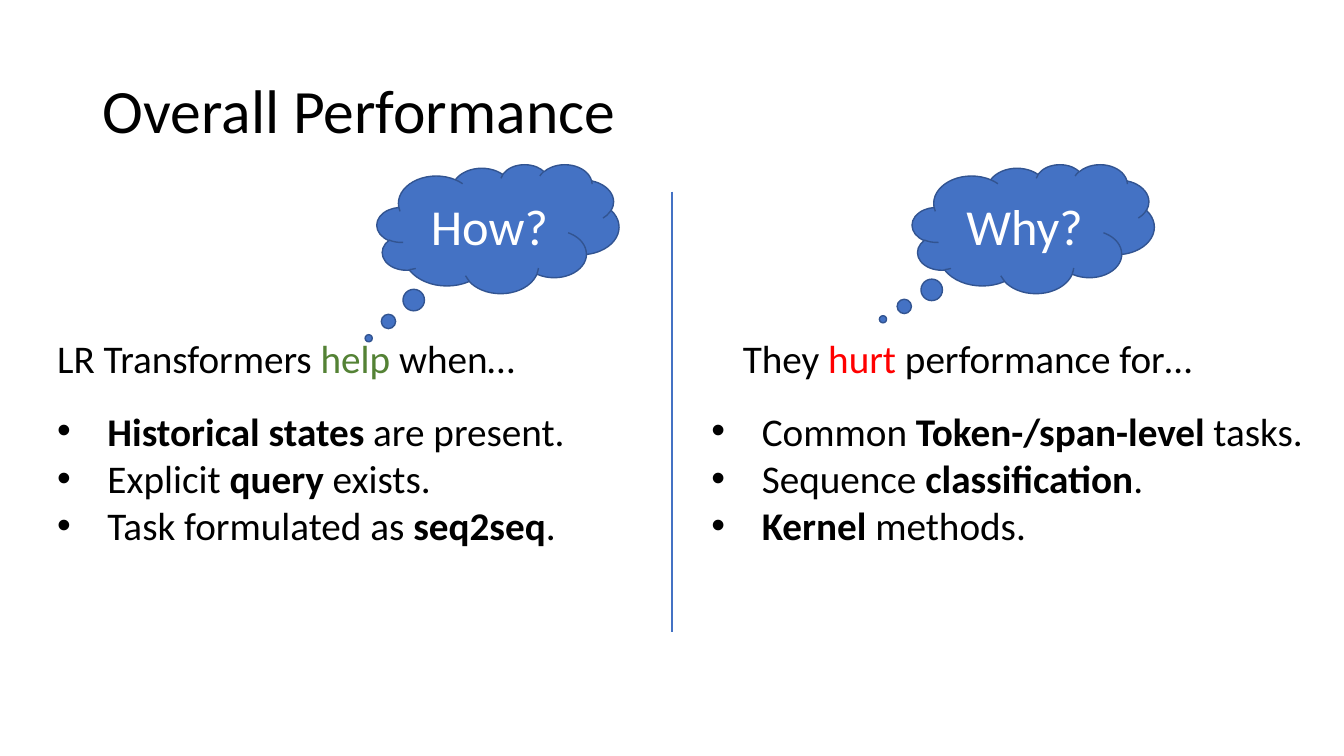
from dataclasses import dataclass

from lxml import etree
from pptx import Presentation
from pptx import util as u
from pptx.dml.color import RGBColor
from pptx.enum import shapes, text
from pptx.oxml.ns import qn


@dataclass(frozen=True)
class Theme:
    font: str = "Calibri"
    black: str = "000000"
    white: str = "FFFFFF"
    blue: str = "4472C4"
    edge: str = "325491"
    green: str = "548235"
    red: str = "FF0000"
    title: int = 44
    cloud: int = 36
    body: int = 28


THEME = Theme()


@dataclass(frozen=True)
class Part:
    words: str
    color: str = THEME.black
    bold: bool = False


@dataclass(frozen=True)
class Box:
    left: float
    top: float
    width: float
    height: float

    def place(self) -> tuple:
        return tuple(u.Cm(n) for n in (self.left, self.top, self.width, self.height))


@dataclass(frozen=True)
class Side:
    cloud: str
    spot: Box
    tail: tuple[float, float]
    head: Box
    lead: list[Part]
    body: Box
    items: list[list[Part]]


def bold(words: str) -> Part:
    return Part(words, bold=True)


SIDES = [
    Side("How?", Box(9.5, 4.14, 6.1, 3.25), (-0.534, 0.849),
         Box(1.19, 8.31, 13.06, 1.45),
         [Part("LR Transformers "), Part("help", THEME.green), Part(" when…")],
         Box(1.19, 10.13, 13.46, 3.84),
         [[bold("Historical states "), Part("are present.")],
          [Part("Explicit "), bold("query"), Part(" exists.")],
          [Part("Task formulated as "), bold("seq2seq"), Part(".")]]),
    Side("Why?", Box(22.99, 4.14, 6.1, 3.25), (-0.621, 0.702),
         Box(18.47, 8.31, 13.06, 1.45),
         [Part("They "), Part("hurt", THEME.red), Part(" performance for…")],
         Box(17.68, 10.13, 16, 3.84),
         [[Part("Common"), bold(" Token-/span-level "), Part("tasks.")],
          [Part("Sequence "), bold("classification"), Part(".")],
          [bold("Kernel"), Part(" methods.")]]),
]


def rgb(code: str) -> RGBColor:
    return RGBColor.from_string(code)


def style(run, size: int, color: str, heavy: bool = False) -> None:
    run.font.name = THEME.font
    run.font.size = u.Pt(size)
    run.font.bold = heavy
    run.font.color.rgb = rgb(color)


def bullet(para) -> None:
    props = para._p.get_or_add_pPr()
    props.set("marL", str(u.Cm(1.27)))
    props.set("indent", str(u.Cm(-1.27)))
    etree.SubElement(props, qn("a:buFont")).set("typeface", "Arial")
    etree.SubElement(props, qn("a:buChar")).set("char", "•")


def write(slide, box: Box, lines: list[list[Part]], size: int, dots: bool = False):
    frame = slide.shapes.add_textbox(*box.place()).text_frame
    frame.word_wrap = True
    for i, parts in enumerate(lines):
        para = frame.add_paragraph() if i else frame.paragraphs[0]
        if dots:
            bullet(para)
        for part in parts:
            run = para.add_run()
            run.text = part.words
            style(run, size, part.color, part.bold)
    return frame


def think(slide, side: Side) -> None:
    cloud = slide.shapes.add_shape(shapes.MSO_SHAPE.CLOUD_CALLOUT, *side.spot.place())
    cloud.adjustments[0], cloud.adjustments[1] = side.tail
    cloud.shadow.inherit = False
    cloud.fill.solid()
    cloud.fill.fore_color.rgb = rgb(THEME.blue)
    cloud.line.color.rgb = rgb(THEME.edge)
    cloud.line.width = u.Pt(1)
    frame = cloud.text_frame
    frame.text = side.cloud
    frame.vertical_anchor = text.MSO_ANCHOR.MIDDLE
    para = frame.paragraphs[0]
    para.alignment = text.PP_ALIGN.CENTER
    style(para.runs[0], THEME.cloud, THEME.white)


def divide(slide) -> None:
    mid = u.Cm(16.94)
    line = slide.shapes.add_connector(
        shapes.MSO_CONNECTOR.STRAIGHT, mid, u.Cm(4.83), mid, u.Cm(15.93))
    line.line.color.rgb = rgb(THEME.blue)
    line.line.width = u.Pt(1.5)
    etree.SubElement(line._element.spPr, qn("a:effectLst"))


def main() -> None:
    deck = Presentation()
    deck.slide_width, deck.slide_height = u.Cm(33.87), u.Cm(19.05)
    slide = deck.slides.add_slide(deck.slide_layouts[6])

    # Title
    title = write(slide, Box(2.34, 1.02, 29.21, 3.68),
                  [[Part("Overall Performance")]], THEME.title)
    title.vertical_anchor = text.MSO_ANCHOR.MIDDLE
    title.paragraphs[0].line_spacing = 0.9

    # Divider between the two sides
    divide(slide)

    # Lead line, bullets and thought cloud of each side
    for side in SIDES:
        write(slide, side.head, [side.lead], THEME.body)
        write(slide, side.body, side.items, THEME.body, dots=True)
        think(slide, side)

    deck.save("out.pptx")


if __name__ == "__main__":
    main()
